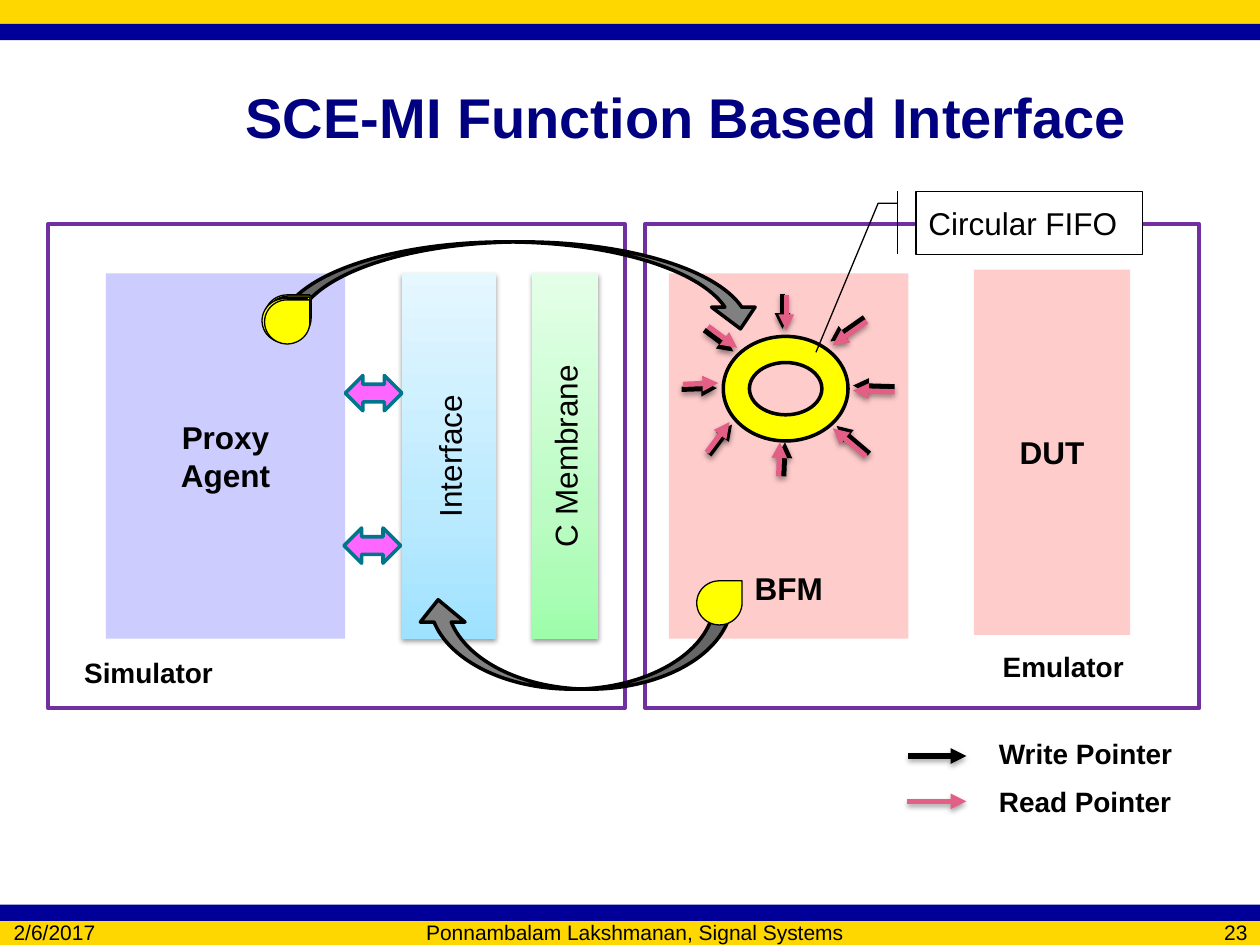
from copy import deepcopy

from lxml import etree
from pptx import Presentation
from pptx.dml.color import RGBColor
from pptx.enum.shapes import MSO_CONNECTOR, MSO_SHAPE
from pptx.enum.text import MSO_ANCHOR, PP_ALIGN
from pptx.oxml.ns import qn
from pptx.util import Inches, Pt

RECTANGLE = MSO_SHAPE.RECTANGLE
CURVED_ARROW = MSO_SHAPE.CURVED_UP_ARROW
DOUBLE_ARROW = MSO_SHAPE.LEFT_RIGHT_ARROW
TEARDROP = MSO_SHAPE.TEAR
DONUT = MSO_SHAPE.DONUT
CALLOUT = MSO_SHAPE.LINE_CALLOUT_2_BORDER_AND_ACCENT_BAR
STRAIGHT = MSO_CONNECTOR.STRAIGHT
LEFT, CENTER, RIGHT = PP_ALIGN.LEFT, PP_ALIGN.CENTER, PP_ALIGN.RIGHT
TOP, MIDDLE, BOTTOM = MSO_ANCHOR.TOP, MSO_ANCHOR.MIDDLE, MSO_ANCHOR.BOTTOM

BLACK = RGBColor(0x00, 0x00, 0x00)
WHITE = RGBColor(0xFF, 0xFF, 0xFF)
GOLD = RGBColor(0xFF, 0xD7, 0x00)
BLUE = RGBColor(0x00, 0x00, 0x99)
NAVY = RGBColor(0x00, 0x00, 0x80)
PURPLE = RGBColor(0x70, 0x30, 0xA0)
LAVENDER = RGBColor(0xCC, 0xCC, 0xFF)
ROSE = RGBColor(0xFF, 0xCC, 0xCC)
GRAY = RGBColor(0x80, 0x80, 0x80)
MAGENTA = RGBColor(0xFF, 0x66, 0xFF)
TEAL = RGBColor(0x00, 0x76, 0x8C)
YELLOW = RGBColor(0xFF, 0xFF, 0x00)
PINK = RGBColor(0xE4, 0x5F, 0x85)
GREENS = [RGBColor(0x9E, 0xFD, 0xAB), RGBColor(0xBC, 0xFC, 0xC4), RGBColor(0xE4, 0xFF, 0xE8)]
SKIES = [RGBColor(0x9F, 0xE2, 0xFF), RGBColor(0xBB, 0xEA, 0xFF), RGBColor(0xE5, 0xF7, 0xFF)]

WIDTH, HEIGHT = 10, 7.5
GOLD_BAND, BLUE_BAND = 0.19, 0.13
BLOCK_TOP, BLOCK_HEIGHT = 2.17, 2.9

POINTERS = [
    ((7.1, 3.07), (6.77, 3.06), (0, 0.04)),
    ((6.9, 3.6), (6.64, 3.38), (-0.03, 0.02)),
    ((6.22, 3.78), (6.23, 3.51), (-0.04, 0)),
    ((5.63, 3.61), (5.81, 3.37), (-0.02, -0.02)),
    ((5.41, 3.09), (5.69, 3.08), (0.01, -0.04)),
    ((5.59, 2.62), (5.82, 2.79), (0.03, -0.03)),
    ((6.21, 2.33), (6.21, 2.61), (0.03, 0.01)),
    ((6.86, 2.52), (6.59, 2.71), (0.02, 0.03)),
]
TOKENS = [(5.53, 4.61), (2.1, 2.34), (2.11, 2.35), (2.1, 2.36), (2.08, 2.37), (2.1, 2.38)]


def write(shape, text, size=18, bold=False, color=BLACK, align=CENTER, anchor=MIDDLE):
    frame = shape.text_frame
    frame.word_wrap = True
    frame.vertical_anchor = anchor
    frame.text = text
    for paragraph in frame.paragraphs:
        paragraph.alignment = align
        font = paragraph.font
        font.name, font.size, font.bold = "Arial", Pt(size), bold
        font.color.rgb = color


def add_label(slide, box, text, **text_format):
    label = slide.shapes.add_textbox(*map(Inches, box))
    write(label, text, **text_format)


def add_block(slide, kind, box, fill, line=None, line_width=1):
    shape = slide.shapes.add_shape(kind, *map(Inches, box))
    shape.shadow.inherit = False
    shape.fill.solid()
    shape.fill.fore_color.rgb = fill
    if line is None:
        shape.line.fill.background()
    else:
        shape.line.color.rgb = line
        shape.line.width = Pt(line_width)
    return shape


def add_drop_shadow(effects, distance, alpha):
    shadow = etree.SubElement(
        effects, qn("a:outerShdw"), blurRad=str(Pt(3.1)), dist=str(Pt(distance)),
        dir="5400000", rotWithShape="0")
    color = etree.SubElement(shadow, qn("a:srgbClr"), val="000000")
    etree.SubElement(color, qn("a:alpha"), val=str(alpha * 1000))


def add_gradient_block(slide, box, colors, text):
    shape = add_block(slide, RECTANGLE, box, colors[0])
    shape.fill.gradient()
    shape.fill.gradient_angle = 90
    properties = shape._element.spPr
    stops = properties.find(".//" + qn("a:gsLst"))
    stops.insert(1, deepcopy(stops[0]))
    for stop, position, color in zip(shape.fill.gradient_stops, (0, 0.35, 1), colors):
        stop.position = position
        stop.color.rgb = color
    add_drop_shadow(properties.find(qn("a:effectLst")), 1.6, 38)
    write(shape, text)
    shape.text_frame._txBody.bodyPr.set("vert", "vert270")


def add_pointer(slide, start, end, color):
    pointer = slide.shapes.add_connector(STRAIGHT, *map(Inches, (*start, *end)))
    pointer.line.color.rgb = color
    pointer.line.width = Pt(3)
    etree.SubElement(pointer.line._get_or_add_ln(), qn("a:tailEnd"), type="triangle")
    effects = etree.SubElement(pointer._element.spPr, qn("a:effectLst"))
    add_drop_shadow(effects, 1.8, 35)


def add_curved_arrow(slide, box, flip):
    arrow = add_block(slide, CURVED_ARROW, box, GRAY, BLACK, 2)
    arrow._element.spPr.xfrm.set(flip, "1")
    arrow.adjustments[0] = 0.193


def add_frame(slide):
    for gold_top, blue_top in (
            (0, GOLD_BAND), (HEIGHT - GOLD_BAND, HEIGHT - GOLD_BAND - BLUE_BAND)):
        add_block(slide, RECTANGLE, (0, gold_top, WIDTH, GOLD_BAND), GOLD)
        add_block(slide, RECTANGLE, (0, blue_top, WIDTH, BLUE_BAND), BLUE)
    for left, width, text, align in (
            (0.01, 1.16, "2/6/2017", LEFT),
            (1.25, 7.58, "Ponnambalam Lakshmanan, Signal Systems", CENTER),
            (9, 1, "23", RIGHT)):
        add_label(slide, (left, 7.31, width, 0.17), text, size=12, align=align)


def add_title(slide):
    title = slide.shapes.title
    title.left, title.top, title.width, title.height = map(Inches, (1.85, 0.3, 8, 1.25))
    write(title, "SCE-MI Function Based Interface", size=32, bold=True, color=NAVY, align=LEFT)


def add_domains(slide):
    for left, width in ((0.38, 4.58), (5.12, 4.4)):
        add_block(slide, RECTANGLE, (left, 1.78, width, 3.84), WHITE, PURPLE, 2.25)
    proxy = add_block(slide, RECTANGLE, (0.84, BLOCK_TOP, 1.9, BLOCK_HEIGHT), LAVENDER)
    write(proxy, "Proxy\nAgent", bold=True)
    bfm = add_block(slide, RECTANGLE, (5.31, BLOCK_TOP, 1.9, BLOCK_HEIGHT), ROSE)
    write(bfm, "BFM", bold=True, anchor=BOTTOM)
    bfm.text_frame.margin_bottom = Inches(0.25)
    dut = add_block(slide, RECTANGLE, (7.73, 2.14, 1.24, BLOCK_HEIGHT), ROSE)
    write(dut, "DUT", bold=True)
    add_gradient_block(slide, (4.22, BLOCK_TOP, 0.53, BLOCK_HEIGHT), GREENS, "C Membrane")
    add_gradient_block(slide, (3.19, BLOCK_TOP, 0.75, BLOCK_HEIGHT), SKIES, "Interface")


def add_transfers(slide):
    add_curved_arrow(slide, (2.22, 1.92, 3.83, 0.69), "flipV")
    add_curved_arrow(slide, (3.3, 4.76, 2.51, 0.71), "flipH")
    for left, top in ((2.74, 2.98), (2.73, 4.19)):
        add_block(slide, DOUBLE_ARROW, (left, top, 0.45, 0.28), MAGENTA, TEAL, 2)
    for left, top in TOKENS:
        add_block(slide, TEARDROP, (left, top, 0.36, 0.35), YELLOW, BLACK, 0.75)


def add_fifo(slide):
    add_block(slide, DONUT, (5.74, 2.67, 0.99, 0.83), YELLOW, BLACK, 2)
    for start, end, _ in POINTERS:
        add_pointer(slide, start, end, BLACK)
    for start, end, (shift_x, shift_y) in POINTERS:
        moved = [(x + shift_x, y + shift_y) for x, y in (start, end)]
        add_pointer(slide, *moved, PINK)
    callout = add_block(slide, CALLOUT, (7.27, 1.52, 1.8, 0.5), WHITE, BLACK, 0.75)
    for index, value in enumerate((0.188, -0.083, 0.188, -0.167, 2.552, -0.441)):
        callout.adjustments[index] = value
    write(callout, "Circular FIFO", align=LEFT)


def add_captions(slide):
    add_pointer(slide, (7.21, 6), (7.67, 6), BLACK)
    add_pointer(slide, (7.2, 6.36), (7.67, 6.36), PINK)
    for left, top, width, text in (
            (7.83, 5.8, 1.77, "Write Pointer"), (7.83, 6.18, 1.77, "Read Pointer"),
            (7.86, 5.11, 1.27, "Emulator"), (0.57, 5.15, 1.77, "Simulator")):
        add_label(slide, (left, top, width, 0.37), text, size=16, bold=True,
                  align=LEFT, anchor=TOP)


def main():
    presentation = Presentation()
    presentation.slide_width, presentation.slide_height = Inches(WIDTH), Inches(HEIGHT)
    slide = presentation.slides.add_slide(presentation.slide_layouts[5])
    add_frame(slide)
    add_title(slide)
    add_domains(slide)
    add_transfers(slide)
    add_fifo(slide)
    add_captions(slide)
    presentation.save("out.pptx")


if __name__ == "__main__":
    main()
